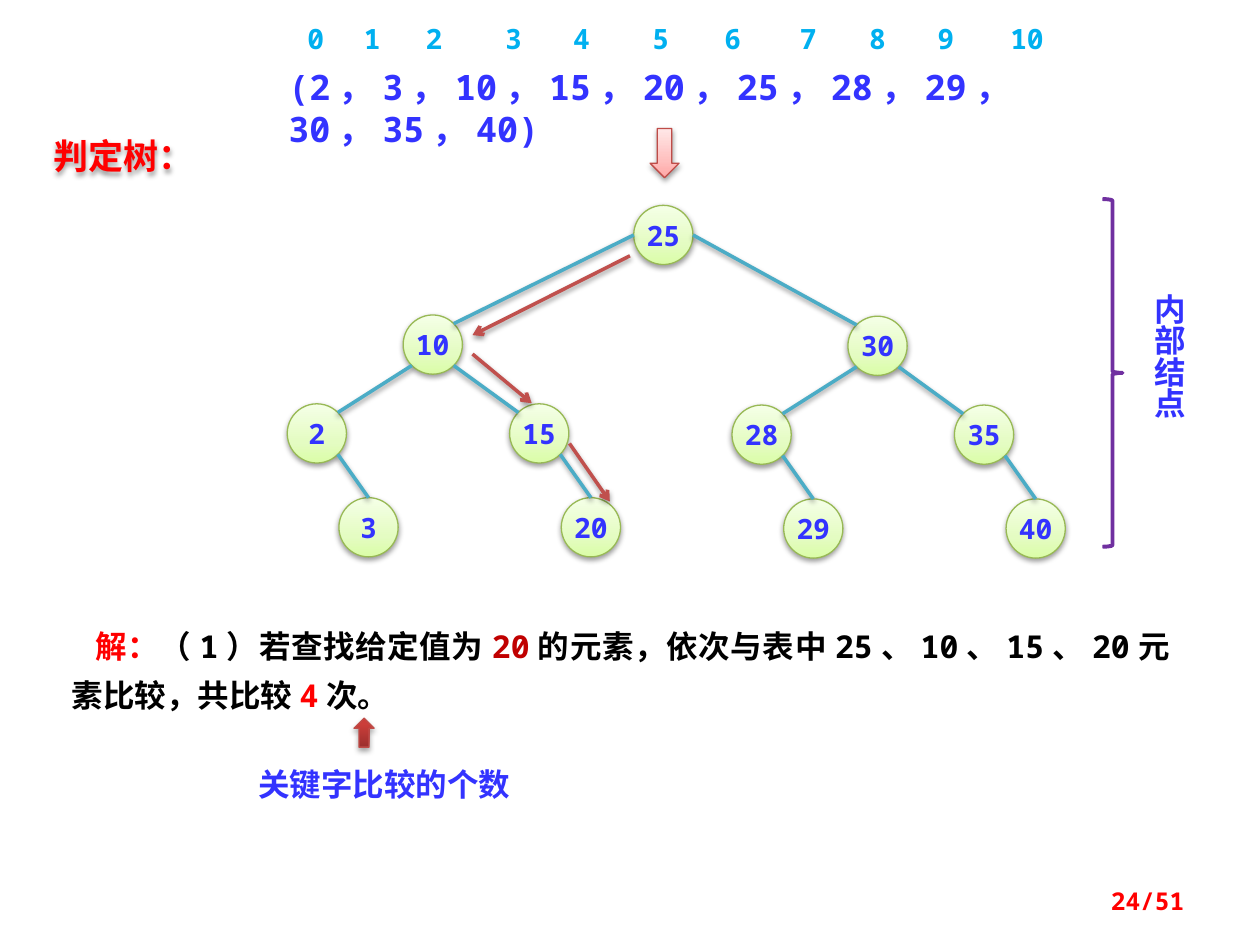
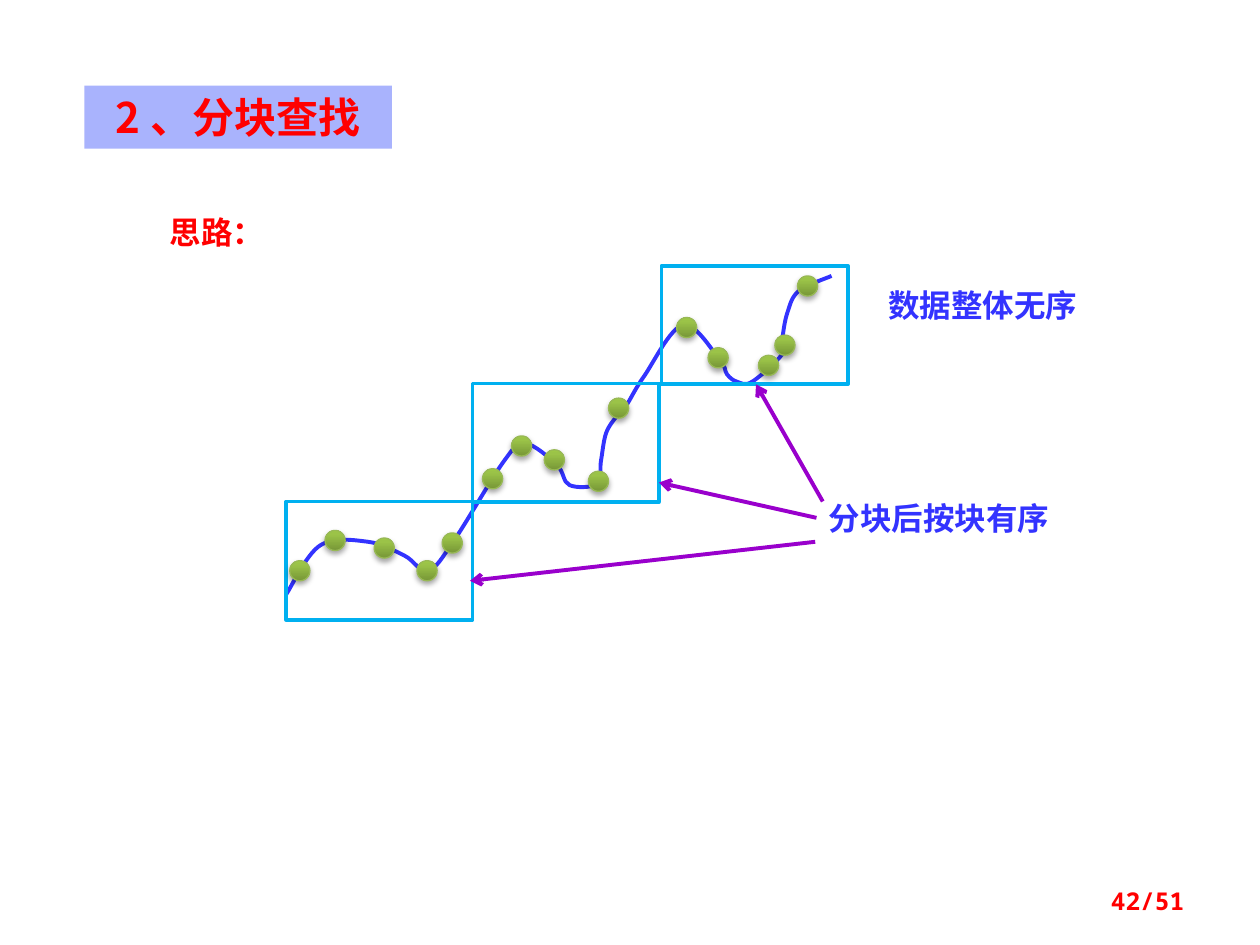
"""Build two lecture slides on search: a decision tree and block search."""
from dataclasses import dataclass
from math import cos, radians, sin
from typing import NamedTuple, Optional

from lxml import etree
from pptx import Presentation
from pptx import util as u
from pptx.dml import color as dml
from pptx.enum import shapes, text
from pptx.oxml import ns

COLUMNS, ROWS = 100, 75
CELL = u.Inches(0.1)


class Box(NamedTuple):
    """A rectangle in grid columns and rows."""
    left: float
    top: float
    width: float
    height: float


class Point(NamedTuple):
    """A place in grid columns and rows."""
    column: float
    row: float


@dataclass(frozen=True)
class Finish:
    """A vertical gradient with its outline and shadow strength."""
    stops: tuple[tuple[int, str], ...]
    outline: str
    shadow_alpha: int = 38
    shadow_distance: float = 1.6


@dataclass(frozen=True)
class Theme:
    """Colours, fonts and type sizes of both slides."""
    mono: str = "Noto Sans Mono"
    sans: str = "Noto Sans CJK SC"
    red: str = "FF0000"
    dark_red: str = "C00000"
    blue: str = "3333FF"
    cyan: str = "00B0F0"
    black: str = "000000"
    white: str = "FFFFFF"
    band: str = "A9B3FD"
    edge: str = "4BACC6"
    route: str = "C0504D"
    brace: str = "7030A0"
    pointer: str = "9900CC"
    title: int = 24
    heading: int = 20
    body: int = 18
    label: int = 16
    footer: int = 14
    node: Finish = Finish(((0, "DAFDA7"), (35, "E4FCC2"), (100, "F5FFE7")), "98B955")
    pale_arrow: Finish = Finish(((0, "FFA6A5"), (35, "FFC0BF"), (100, "FFE7E7")), "BF4C48")
    deep_arrow: Finish = Finish(((0, "9C2F2D"), (80, "CB3E3A"), (100, "CE3B37")), "BF4C48", 35, 1.8)
    dot: Finish = Finish(((0, "779737"), (80, "9BC348"), (100, "9DC746")), "98B955", 35, 1.8)


THEME = Theme()


@dataclass(frozen=True)
class Label:
    """A text block; each run may carry its own colour."""
    box: Box
    runs: tuple[tuple[str, Optional[str]], ...]
    size: int = THEME.body
    color: str = THEME.blue
    font: str = THEME.sans
    align: text.PP_ALIGN = text.PP_ALIGN.LEFT
    anchor: text.MSO_ANCHOR = text.MSO_ANCHOR.TOP
    fill: Optional[str] = None
    grow: bool = True
    vertical: bool = False
    shadow: bool = False
    inset: float = 0.5
    indent: float = 0
    line_points: Optional[int] = None


class Node(NamedTuple):
    """A tree node by its centre."""
    key: str
    centre: Point


class Edge(NamedTuple):
    """A tree edge by node keys and clockwise leaving angles."""
    parent: str
    parent_angle: int
    child: str
    child_angle: int


class Arrow(NamedTuple):
    """A straight arrow."""
    start: Point
    end: Point


def grid(*values: float) -> list[int]:
    """Turn grid units into slide lengths."""
    return [round(value * CELL) for value in values]


def rgb(value: str) -> dml.RGBColor:
    """Read a hexadecimal colour."""
    return dml.RGBColor.from_string(value)


def child(parent, tag: str, **attributes):
    """Append a drawing element."""
    return etree.SubElement(parent, ns.qn(tag), {name: str(value) for name, value in attributes.items()})


def set_shadow(shape, alpha: int = 0, distance: float = 1.6) -> None:
    """Give a shape a soft downward shadow, or none when alpha is zero."""
    effects = child(shape._element.spPr, "a:effectLst")
    if alpha:
        shadow = child(effects, "a:outerShdw", blurRad=u.Pt(3.1), dist=u.Pt(distance),
                       dir=90 * 60000, algn="ctr", rotWithShape=0)
        child(child(shadow, "a:srgbClr", val=THEME.black), "a:alpha", val=alpha * 1000)


def set_line(shape, color: str, points: float) -> None:
    """Set the line colour and width."""
    shape.line.color.rgb = rgb(color)
    shape.line.width = u.Pt(points)


def style_paragraph(paragraph, size: int, color: str, font: str, align: text.PP_ALIGN) -> None:
    """Set the alignment and shared bold font of a paragraph."""
    paragraph.alignment = align
    paragraph.font.size = u.Pt(size)
    paragraph.font.bold = True
    paragraph.font.color.rgb = rgb(color)
    paragraph.font.name = font
    child(paragraph._p.pPr.find(ns.qn("a:defRPr")), "a:ea", typeface=THEME.sans)


def draw_label(slide, label: Label) -> None:
    """Draw a text block, on a filled rectangle if it has a fill."""
    if label.fill:
        shape = slide.shapes.add_shape(shapes.MSO_SHAPE.RECTANGLE, *grid(*label.box))
        shape.fill.solid()
        shape.fill.fore_color.rgb = rgb(label.fill)
        shape.line.fill.background()
    else:
        shape = slide.shapes.add_textbox(*grid(*label.box))
    set_shadow(shape, 38 if label.shadow else 0)
    frame = shape.text_frame
    frame.word_wrap = True
    frame.vertical_anchor = label.anchor
    frame.margin_top = frame.margin_bottom = grid(label.inset)[0]
    frame.auto_size = text.MSO_AUTO_SIZE.SHAPE_TO_FIT_TEXT if label.grow else text.MSO_AUTO_SIZE.NONE
    if label.vertical:
        frame._txBody.bodyPr.set("vert", "eaVert")
    paragraph = frame.paragraphs[0]
    style_paragraph(paragraph, label.size, label.color, label.font, label.align)
    if label.line_points:
        paragraph.line_spacing = u.Pt(label.line_points)
    if label.indent:
        paragraph._p.pPr.set("indent", str(grid(label.indent)[0]))
    for words, color in label.runs:
        run = paragraph.add_run()
        run.text = words
        if color:
            run.font.color.rgb = rgb(color)


def draw_glossy(slide, kind: shapes.MSO_SHAPE, box: Box, finish: Finish):
    """Draw a preset shape with a gradient finish."""
    shape = slide.shapes.add_shape(kind, *grid(*box))
    shape.fill.gradient()
    shape.fill.gradient_angle = 90
    stops = shape._element.spPr.find(".//" + ns.qn("a:gsLst"))
    for stop in list(stops):
        stops.remove(stop)
    for position, color in finish.stops:
        child(child(stops, "a:gs", pos=position * 1000), "a:srgbClr", val=color)
    set_line(shape, finish.outline, 0.75)
    set_shadow(shape, finish.shadow_alpha, finish.shadow_distance)
    return shape


def draw_outline(slide, kind: shapes.MSO_SHAPE, box: Box, color: str, points: float) -> None:
    """Draw an unfilled preset shape."""
    shape = slide.shapes.add_shape(kind, *grid(*box))
    shape.fill.background()
    set_line(shape, color, points)
    set_shadow(shape)


def draw_line(slide, start: Point, end: Point, color: str, points: float = 2,
              arrow: bool = False, shadow: int = 38) -> None:
    """Draw a straight connector."""
    line = slide.shapes.add_connector(shapes.MSO_CONNECTOR.STRAIGHT, *grid(*start, *end))
    set_line(line, color, points)
    if arrow:
        child(line.line._get_or_add_ln(), "a:tailEnd", type="arrow")
    set_shadow(line, shadow)


def draw_curve(slide, knots: list[Point], color: str) -> None:
    """Draw a smooth Catmull-Rom curve of cubic segments through the knots."""
    places = [grid(*knot) for knot in knots]
    builder = slide.shapes.build_freeform(*places[0])
    builder.add_line_segments(places[1:], close=False)
    curve = builder.convert_to_shape()
    padded = [places[0], *places, places[-1]]
    segments = curve._element.spPr.findall(".//" + ns.qn("a:lnTo"))
    for segment, before, start, end, after in zip(segments, padded, padded[1:], padded[2:], padded[3:]):
        leave = [b + (c - a) / 6 for a, b, c in zip(before, start, end)]
        arrive = [b - (c - a) / 6 for a, b, c in zip(start, end, after)]
        cubic = etree.Element(ns.qn("a:cubicBezTo"))
        for x, y in (leave, arrive, end):
            child(cubic, "a:pt", x=round(x - curve.left), y=round(y - curve.top))
        segment.getparent().replace(segment, cubic)
    curve.fill.background()
    set_line(curve, color, 2.25)
    set_shadow(curve)


NODE_SIZE, DOT_SIZE = 4.7, 1.6
RIGHT_SHIFT = Point(35.3, 0.1)
LEFT_CENTRES = (Point(34.35, 27.35), Point(25.15, 34.4), Point(42.8, 34.4),
                Point(29.25, 41.85), Point(46.9, 41.85))
SUBTREES = (("10", "2", "15", "3", "20"), ("30", "28", "35", "29", "40"))
NODES = [Node("25", Point(52.65, 18.65))] + [
    Node(key, Point(centre.column + side * RIGHT_SHIFT.column, centre.row + side * RIGHT_SHIFT.row))
    for side, keys in enumerate(SUBTREES) for key, centre in zip(keys, LEFT_CENTRES)]
EDGES = [Edge("25", 180, "10", 315), Edge("25", 0, "30", 225)] + [
    edge for top, low, high, low_leaf, high_leaf in SUBTREES
    for edge in (Edge(top, 135, low, 315), Edge(top, 45, high, 225),
                 Edge(low, 45, low_leaf, 270), Edge(high, 45, high_leaf, 270))]
ROUTE = (Arrow(Point(50, 20.3), Point(37.5, 26.6)), Arrow(Point(37.5, 28.1), Point(42.2, 32)),
         Arrow(Point(45.2, 35.2), Point(48.4, 39.8)))
INDEX_LEFTS = (23.4, 27.9, 32.8, 39.1, 44.5, 50.8, 56.5, 62.5, 68, 73.4, 79.2)
TREE_LABELS = (
    Label(Box(89.8, 22.3, 5, 14.1), (("内部结点", None),), vertical=True),
    Label(Box(1.6, 10.2, 16.4, 4.4), (("判定树：", None),), THEME.heading, THEME.red,
          align=text.PP_ALIGN.CENTER, shadow=True),
    Label(Box(21.9, 4.7, 62.5, 4.4), (("(2，3，10，15，20，25，28，29，30，35，40)", None),),
          THEME.heading, font=THEME.mono),
    Label(Box(19.5, 60.2, 28.1, 4), (("关键字比较的个数", None),)),
)
ANSWER = Label(
    Box(4.7, 48.1, 89.1, 9.4),
    (("解：", THEME.red), ("（1）若查找给定值为", None), ("20", THEME.dark_red),
     ("的元素，依次与表中25、10、15、20元素比较，共比较", None), ("4", THEME.red), ("次。", None)),
    color=THEME.black, font=THEME.mono, align=text.PP_ALIGN.JUSTIFY, fill=THEME.white,
    inset=0.8, indent=1.9, line_points=28)

BLOCKS = [Box(left, 39.8 - 9.35 * step, 14.8, 9.4) for step, left in enumerate((22.7, 37.5, 52.5))]
KNOTS = [Point(*pair) for pair in (
    (22.7, 47.2), (25.4, 43.3), (29.2, 43), (32.1, 44.1), (34, 45.3), (36.1, 42.8), (40, 36.6),
    (41.7, 35.2), (44.2, 36.9), (45.2, 38.5), (47.4, 38.4), (47.7, 36.6), (48.1, 34.4),
    (48.9, 33.1), (49.7, 32.2), (51.1, 29.9), (54.2, 25.8), (57.1, 28.5), (57.7, 29.7),
    (58.5, 30.3), (59.7, 30.3), (62.1, 28.1), (62.1, 26.9), (62.5, 24.8), (63.4, 23.1), (66, 21.9))]
DOTS = ((23, 44.5), (25.8, 42.1), (33.1, 44.5), (35.1, 42.3), (29.7, 42.7),
        (38.3, 37.2), (40.6, 34.6), (43.2, 35.7), (46.7, 37.4), (48.3, 31.6),
        (53.7, 25.2), (63.3, 21.9), (61.5, 26.6), (60.2, 28.2), (56.2, 27.6))
POINTERS = (Arrow(Point(64.7, 43), Point(37.3, 46.1)), Arrow(Point(64.8, 41.1), Point(52.3, 38.3)),
            Arrow(Point(65.3, 39.8), Point(60, 30.5)))
BLOCK_LABELS = (
    Label(Box(12.5, 16.4, 15.2, 4), (("思路：", None),), color=THEME.red),
    Label(Box(6.7, 6.8, 24.4, 5), (("2、分块查找", None),), THEME.title, THEME.red,
          align=text.PP_ALIGN.CENTER, fill=THEME.band),
    Label(Box(69.5, 22.2, 21.1, 4), (("数据整体无序", None),)),
    Label(Box(64.8, 39.1, 25.8, 4), (("分块后按块有序", None),)),
)


def draw_footer(slide, page: int) -> None:
    """Draw the page number."""
    draw_label(slide, Label(Box(71.7, 69.5, 23.3, 4), ((f"{page}/51", None),), THEME.footer, THEME.red,
                            THEME.mono, text.PP_ALIGN.RIGHT, text.MSO_ANCHOR.MIDDLE, grow=False))


def draw_node(slide, node: Node) -> None:
    """Draw a tree node with its key."""
    box = Box(*(value - NODE_SIZE / 2 for value in node.centre), NODE_SIZE, NODE_SIZE)
    frame = draw_glossy(slide, shapes.MSO_SHAPE.OVAL, box, THEME.node).text_frame
    frame.margin_left = frame.margin_right = frame.margin_top = frame.margin_bottom = 0
    frame.word_wrap = False
    frame.vertical_anchor = text.MSO_ANCHOR.MIDDLE
    frame.text = node.key
    style_paragraph(frame.paragraphs[0], THEME.label, THEME.blue, THEME.mono, text.PP_ALIGN.CENTER)


def rim(centre: Point, angle: int) -> Point:
    """Find the point of a node's rim at a clockwise angle."""
    radius = NODE_SIZE / 2
    return Point(centre.column + radius * cos(radians(angle)), centre.row + radius * sin(radians(angle)))


def build_tree_slide(slide) -> None:
    """Draw the decision tree with the search route to 20."""
    draw_label(slide, ANSWER)
    for node in NODES:
        draw_node(slide, node)
    centres = dict(NODES)
    for edge in EDGES:
        draw_line(slide, rim(centres[edge.parent], edge.parent_angle),
                  rim(centres[edge.child], edge.child_angle), THEME.edge)
    draw_outline(slide, shapes.MSO_SHAPE.RIGHT_BRACE, Box(87.5, 15.8, 1.6, 27.6), THEME.brace, 2.25)
    for label in TREE_LABELS:
        draw_label(slide, label)
    for index, left in enumerate(INDEX_LEFTS):
        draw_label(slide, Label(Box(left, 1.2, 3.1 if index < 10 else 4.7, 3.7), ((str(index), None),),
                                THEME.label, THEME.cyan, THEME.mono))
    for arrow in ROUTE:
        draw_line(slide, *arrow, THEME.route, arrow=True)
    draw_glossy(slide, shapes.MSO_SHAPE.DOWN_ARROW, Box(51.6, 10.2, 2.3, 3.9), THEME.pale_arrow)
    draw_glossy(slide, shapes.MSO_SHAPE.UP_ARROW, Box(28.1, 57, 1.6, 2.3), THEME.deep_arrow)


def build_block_slide(slide) -> None:
    """Draw the data curve split into ordered blocks."""
    draw_curve(slide, KNOTS, THEME.blue)
    for block in BLOCKS:
        draw_outline(slide, shapes.MSO_SHAPE.RECTANGLE, block, THEME.cyan, 2)
    for label in BLOCK_LABELS:
        draw_label(slide, label)
    for arrow in POINTERS:
        draw_line(slide, *arrow, THEME.pointer, 2.25, arrow=True, shadow=0)
    for left, top in DOTS:
        draw_glossy(slide, shapes.MSO_SHAPE.OVAL, Box(left, top, DOT_SIZE, DOT_SIZE), THEME.dot)


def main() -> None:
    """Build and save the presentation."""
    presentation = Presentation()
    presentation.slide_width, presentation.slide_height = grid(COLUMNS, ROWS)
    for page, build in ((24, build_tree_slide), (42, build_block_slide)):
        slide = presentation.slides.add_slide(presentation.slide_layouts[6])
        build(slide)
        draw_footer(slide, page)
    presentation.save("out.pptx")


if __name__ == "__main__":
    main()
